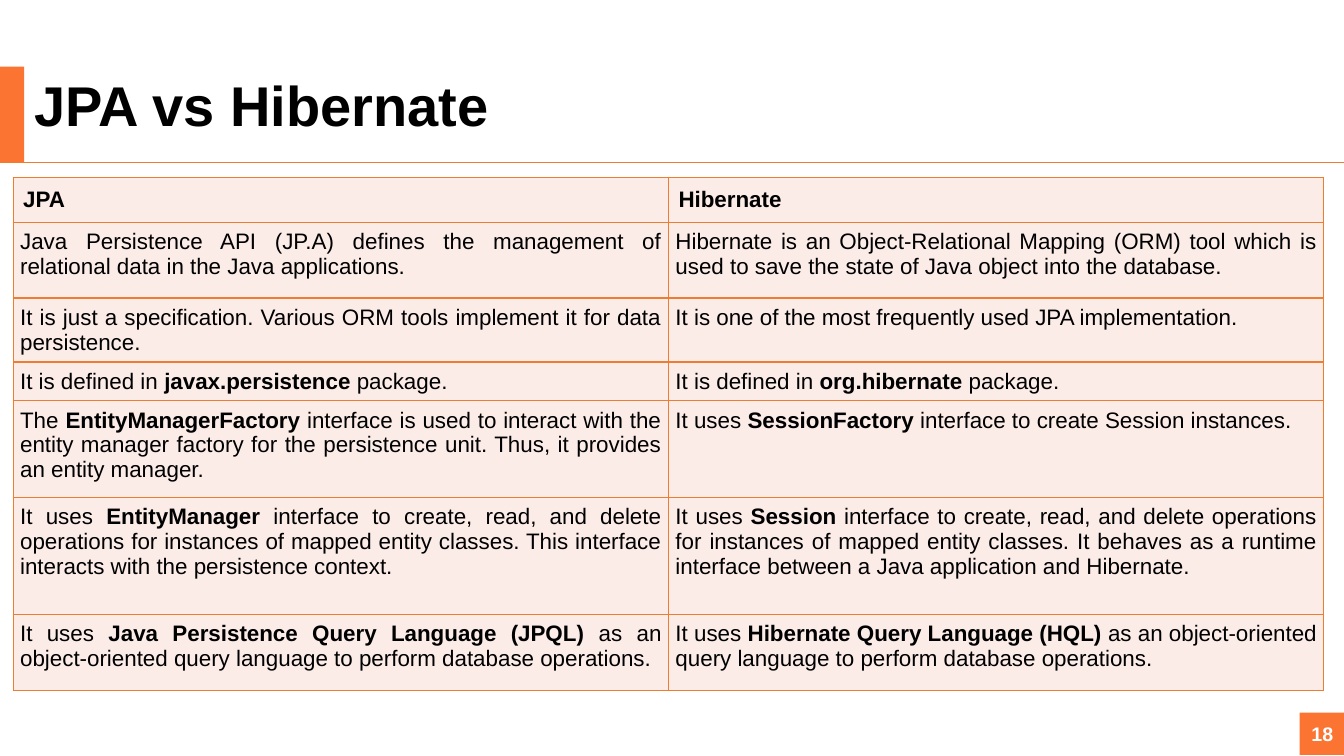
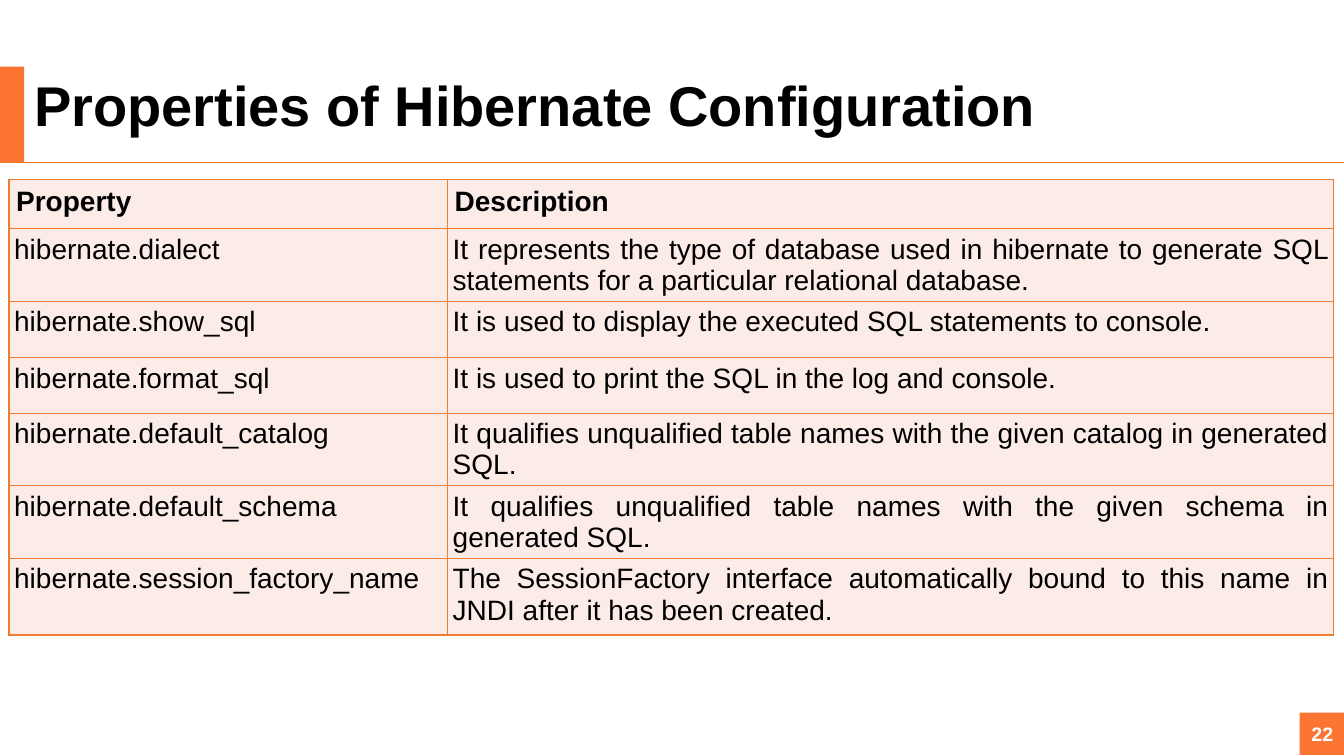
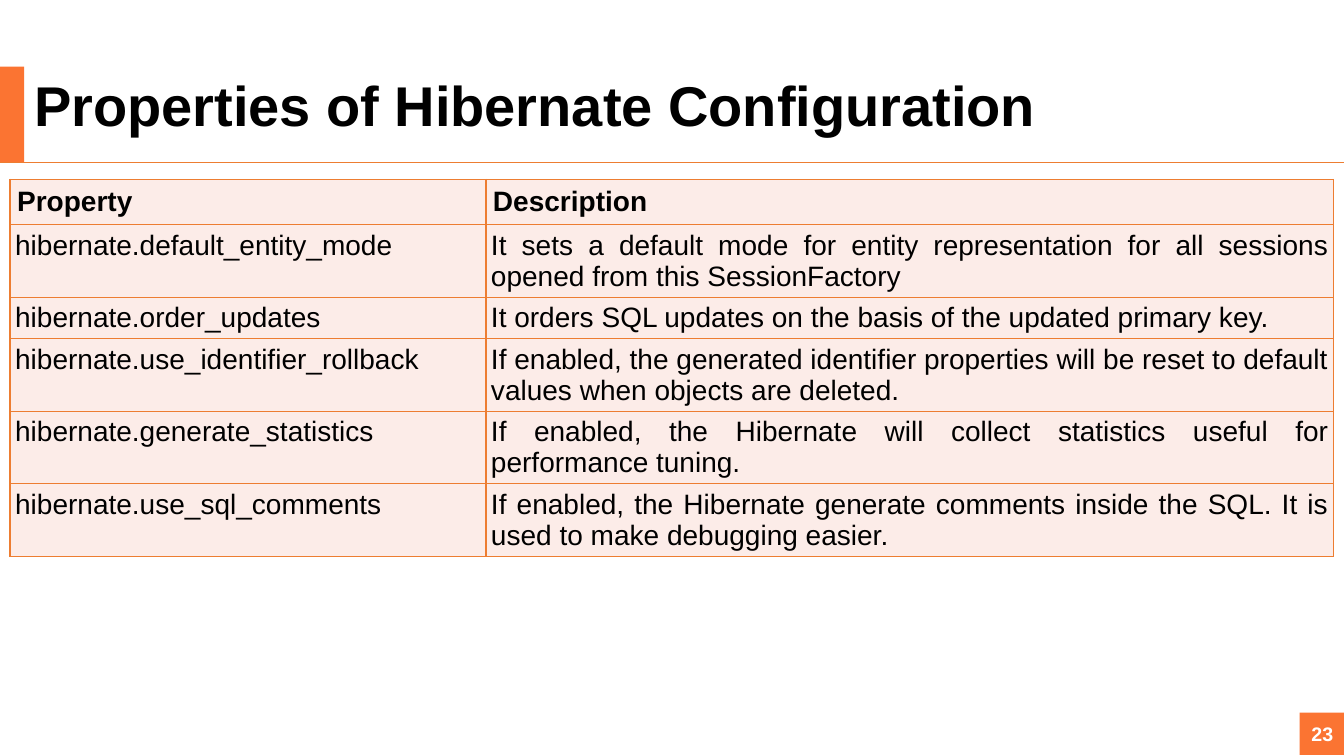
from lxml.etree import SubElement
from pptx import Presentation
from pptx.dml.color import RGBColor
from pptx.enum.shapes import MSO_CONNECTOR, MSO_SHAPE
from pptx.enum.text import MSO_ANCHOR, MSO_AUTO_SIZE, PP_ALIGN
from pptx.oxml.ns import qn
from pptx.util import Inches, Pt

ORANGE = RGBColor(0xFB, 0x74, 0x32)
RULE = RGBColor(0xED, 0x7D, 0x31)
CELL = RGBColor(0xFC, 0xEC, 0xE8)
BLACK = RGBColor(0, 0, 0)
WHITE = RGBColor(0xFF, 0xFF, 0xFF)


def set_font(p, size, color, bold):
    p.font.name = "Arial"
    p.font.size = Pt(size)
    p.font.color.rgb = color
    p.font.bold = bold


def set_borders(cell):
    tcPr = cell._tc.get_or_add_tcPr()
    for side in ("a:lnL", "a:lnR", "a:lnT", "a:lnB"):
        ln = SubElement(tcPr, qn(side), w=str(Pt(1)))
        fill = SubElement(ln, qn("a:solidFill"))
        SubElement(fill, qn("a:srgbClr"), val=str(RULE))


CONTENT = [
    {
        "title": "JPA vs Hibernate", "number": "18", "left": 0.13, "top": 1.76,
        "size": 16, "insets": (0.1, 0.07), "cols": [6.5, 6.5],
        "heights": [0.43, 0.75, 0.55, 0.35, 0.96, 1.16, 0.75],
        "rows": [
            ("JPA", "Hibernate"),
            ("Java Persistence API (JP.A) defines the management of relational data in the Java applications.",
             "Hibernate is an Object-Relational Mapping (ORM) tool which is used to save the state of Java object into the database."),
            ("It is just a specification. Various ORM tools implement it for data persistence.",
             "It is one of the most frequently used JPA implementation."),
            ("It is defined in *javax.persistence* package.",
             "It is defined in *org.hibernate* package."),
            ("The *EntityManagerFactory* interface is used to interact with the entity manager factory for the persistence unit. Thus, it provides an entity manager.",
             "It uses *SessionFactory* interface to create Session instances."),
            ("It uses *EntityManager* interface to create, read, and delete operations for instances of mapped entity classes. This interface interacts with the persistence context.",
             "It uses *Session* interface to create, read, and delete operations for instances of mapped entity classes. It behaves as a runtime interface between a Java application and Hibernate."),
            ("It uses *Java Persistence Query Language (JPQL) *as an object-oriented query language to perform database operations.",
             "It uses *Hibernate Query Language (HQL) *as an object-oriented query language to perform database operations."),
        ],
    },
    {
        "title": "Properties of Hibernate Configuration", "number": "22", "left": 0.09, "top": 1.78,
        "size": 20, "insets": (0.07, 0.05), "cols": [4.35, 8.79],
        "heights": [0.49, 0.68, 0.56, 0.55, 0.71, 0.71, 0.76],
        "rows": [
            ("Property", "Description"),
            ("hibernate.dialect",
             "It represents the type of database used in hibernate to generate SQL statements for a particular relational database."),
            ("hibernate.show_sql", "It is used to display the executed SQL statements to console."),
            ("hibernate.format_sql", "It is used to print the SQL in the log and console."),
            ("hibernate.default_catalog",
             "It qualifies unqualified table names with the given catalog in generated SQL."),
            ("hibernate.default_schema",
             "It qualifies unqualified table names with the given schema in generated SQL."),
            ("hibernate.session_factory_name",
             "The SessionFactory interface automatically bound to this name in JNDI after it has been created."),
        ],
    },
    {
        "title": "Properties of Hibernate Configuration", "number": "23", "left": 0.1, "top": 1.78,
        "size": 20, "insets": (0.07, 0.05), "cols": [4.72, 8.41],
        "heights": [0.43, 0.68, 0.39, 0.68, 0.39, 0.68],
        "rows": [
            ("Property", "Description"),
            ("hibernate.default_entity_mode",
             "It sets a default mode for entity representation for all sessions opened from this SessionFactory"),
            ("hibernate.order_updates", "It orders SQL updates on the basis of the updated primary key."),
            ("hibernate.use_identifier_rollback",
             "If enabled, the generated identifier properties will be reset to default values when objects are deleted."),
            ("hibernate.generate_statistics",
             "If enabled, the Hibernate will collect statistics useful for performance tuning."),
            ("hibernate.use_sql_comments",
             "If enabled, the Hibernate generate comments inside the SQL. It is used to make debugging easier."),
        ],
    },
]

prs = Presentation()
prs.slide_width, prs.slide_height = Inches(13.33), Inches(7.5)
layout = prs.slide_layouts[5]

for item in CONTENT:
    s = prs.slides.add_slide(layout)

    title = s.shapes.title
    title.left, title.top = Inches(0.24), Inches(0.72)
    title.width, title.height = Inches(12.21), Inches(0.71)
    title.fill.solid()
    title.fill.fore_color.rgb = WHITE
    tf = title.text_frame
    tf.text = item["title"]
    tf.auto_size = MSO_AUTO_SIZE.NONE
    tf.vertical_anchor = MSO_ANCHOR.MIDDLE
    p = tf.paragraphs[0]
    p.alignment = PP_ALIGN.LEFT
    p.line_spacing = 0.9
    set_font(p, 40, BLACK, True)

    bar = s.shapes.add_shape(MSO_SHAPE.RECTANGLE, 0, Inches(0.66), Inches(0.24), Inches(0.95))
    badge = s.shapes.add_shape(MSO_SHAPE.RECTANGLE, Inches(12.89), Inches(7.07), Inches(0.45), Inches(0.42))
    for sp in (bar, badge):
        sp.shadow.inherit = False
        sp.fill.solid()
        sp.fill.fore_color.rgb = ORANGE
        sp.line.fill.background()
    tf = badge.text_frame
    tf.text = item["number"]
    tf.word_wrap = False
    tf.vertical_anchor = MSO_ANCHOR.MIDDLE
    p = tf.paragraphs[0]
    p.alignment = PP_ALIGN.CENTER
    set_font(p, 14, WHITE, True)

    rule = s.shapes.add_connector(MSO_CONNECTOR.STRAIGHT, 0, Inches(1.61), prs.slide_width, Inches(1.61))
    rule.line.color.rgb = RULE
    rule.line.width = Pt(0.75)
    SubElement(rule.element.spPr, qn("a:effectLst"))

    rows, cols, heights = item["rows"], item["cols"], item["heights"]
    table = s.shapes.add_table(len(rows), len(cols), Inches(item["left"]), Inches(item["top"]),
                               Inches(sum(cols)), Inches(sum(heights))).table
    table.first_row = table.horz_banding = False
    for column, width in zip(table.columns, cols):
        column.width = Inches(width)
    for i, (texts, height) in enumerate(zip(rows, heights)):
        table.rows[i].height = Inches(height)
        header = i == 0
        inset = Inches(item["insets"][0 if header else 1])
        for j, text in enumerate(texts):
            cell = table.cell(i, j)
            set_borders(cell)
            cell.fill.solid()
            cell.fill.fore_color.rgb = CELL
            cell.margin_left = cell.margin_right = inset
            cell.margin_top = cell.margin_bottom = inset
            p = cell.text_frame.paragraphs[0]
            p.alignment = PP_ALIGN.LEFT if header else PP_ALIGN.JUSTIFY
            set_font(p, item["size"], BLACK, header)
            for k, part in enumerate(text.split("*")):
                r = p.add_run()
                r.text = part
                if k % 2:
                    r.font.bold = True

prs.save("out.pptx")
